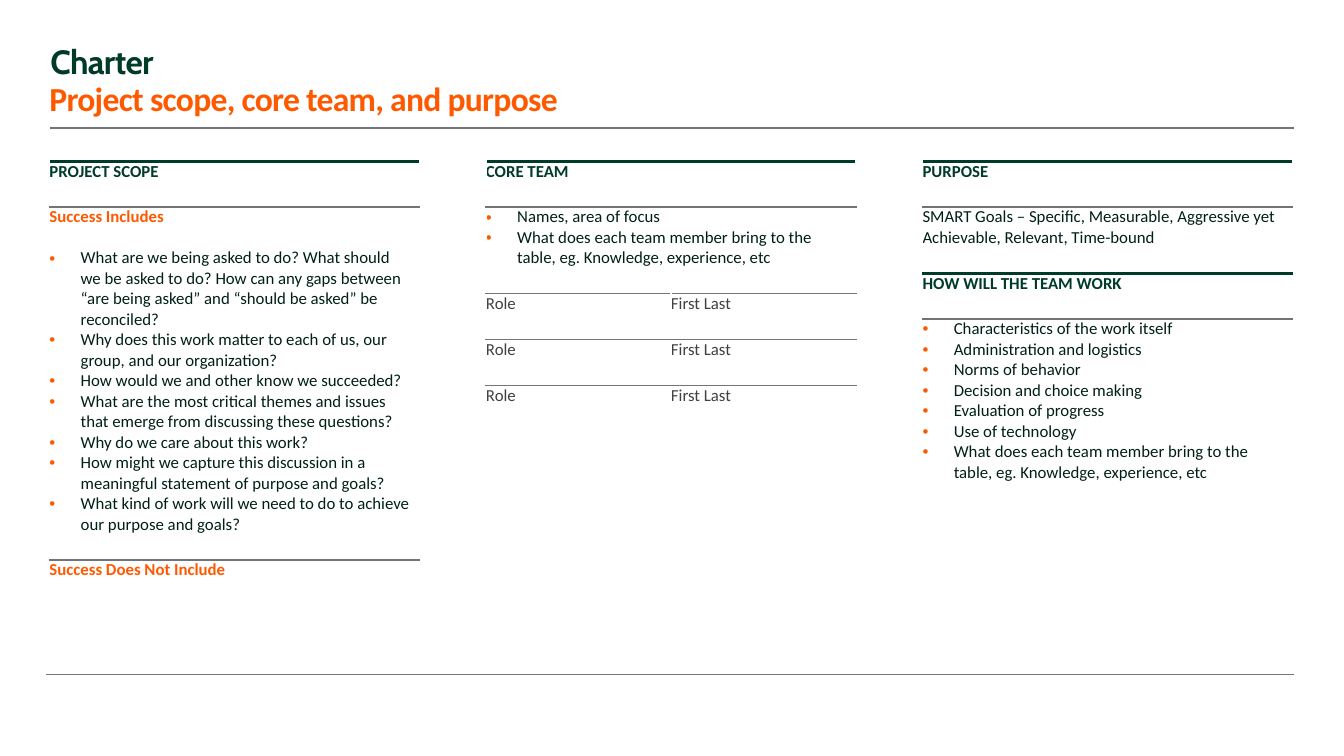
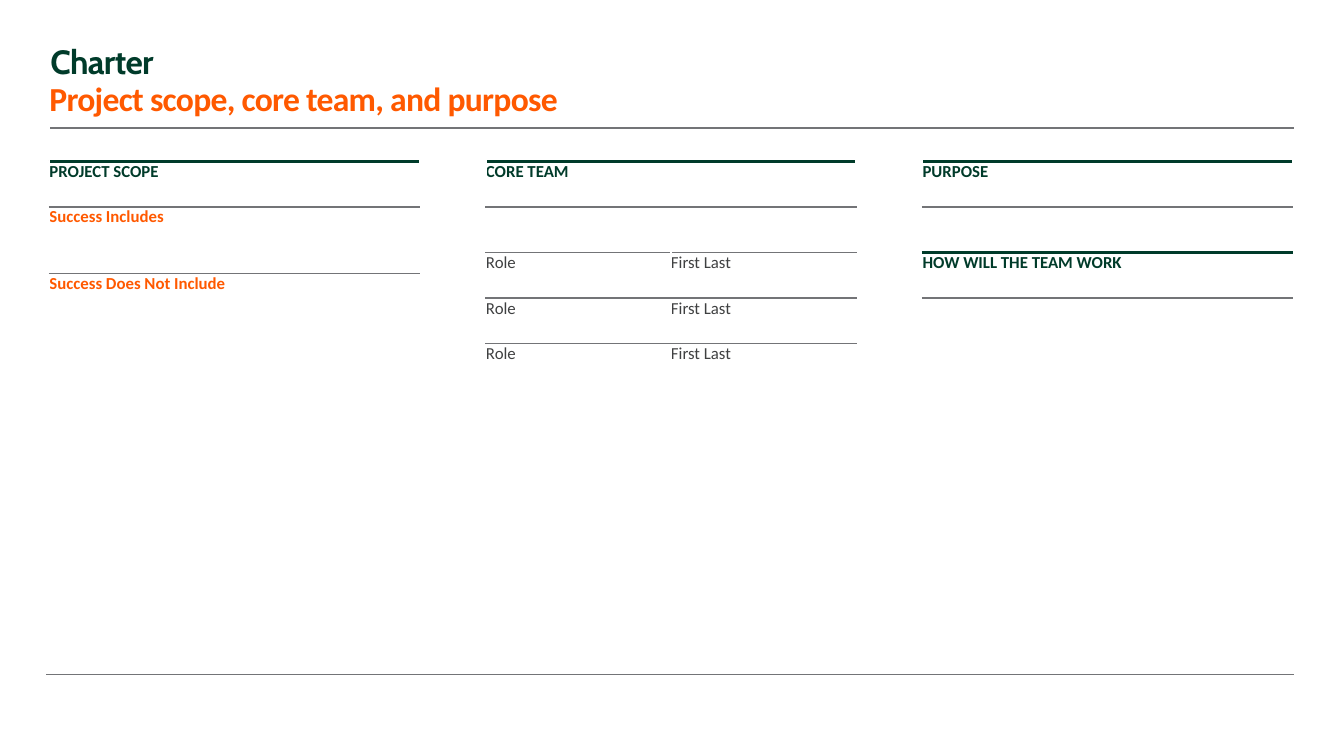
from dataclasses import dataclass

from lxml import etree
from pptx import Presentation
from pptx.dml.color import RGBColor
from pptx.enum import shapes, text
from pptx.oxml.ns import qn
from pptx.util import Inches, Pt

GREEN = RGBColor(0x00, 0x3B, 0x2A)
ORANGE = RGBColor(0xFF, 0x59, 0x00)
INK = RGBColor(0x00, 0x20, 0x17)
CHARCOAL = RGBColor(0x3F, 0x40, 0x41)
GREY = RGBColor(0x73, 0x74, 0x77)
WHITE = RGBColor(0xFF, 0xFF, 0xFF)

COLUMN_LEFT = 0.49
COLUMN_PITCH = 4.33
COLUMN_WIDTH = 3.67
TABLE_TOP = 1.6
ROW_HEIGHT = 0.45
BULLET_INDENT = 0.31
LINE_GAP = 14.65  # height of one 12 pt line, in points

SCOPE_QUESTIONS = [
    "What are we being asked to do? What should we be asked to do? How can any gaps "
    "between “are being asked” and “should be asked” be reconciled?",
    "Why does this work matter to each of us, our group, and our organization?",
    "How would we and other know we succeeded?",
    "What are the most critical themes and issues that emerge from discussing these questions?",
    "Why do we care about this work?",
    "How might we capture this discussion in a meaningful statement of purpose and goals?",
    "What kind of work will we need to do to achieve our purpose and goals?",
]
MEMBER_QUESTION = ("What does each team member bring to the table, "
                   "eg. Knowledge, experience, etc")
TEAM_NOTES = ["Names, area of focus", MEMBER_QUESTION]
GOALS = ("SMART Goals – Specific, Measurable, Aggressive yet Achievable, "
         "Relevant, Time-bound")
WORK_NOTES = [
    "Characteristics of the work itself",
    "Administration and logistics",
    "Norms of behavior",
    "Decision and choice making",
    "Evaluation of progress",
    "Use of technology",
    MEMBER_QUESTION,
]


@dataclass
class Row:
    """A table row: each cell is a list of paragraphs, rule is the line above."""
    cells: list
    rule: RGBColor = GREY
    height: float = ROW_HEIGHT


def write_text(para, content, size=12, font="Calibri", color=INK, bold=False,
               bullet=False, tracking=None, after=0):
    para.alignment = text.PP_ALIGN.LEFT
    para.space_before = Pt(0)
    para.space_after = Pt(after)
    props = para._p.get_or_add_pPr()
    indent = Inches(BULLET_INDENT) if bullet else 0
    props.set("marL", str(indent))
    props.set("indent", str(-indent))
    if bullet:
        bullet_color = etree.SubElement(props, qn("a:buClr"))
        etree.SubElement(bullet_color, qn("a:srgbClr"), val=str(ORANGE))
        etree.SubElement(props, qn("a:buFont"), typeface="Arial")
        etree.SubElement(props, qn("a:buChar"), char="•")
    else:
        etree.SubElement(props, qn("a:buNone"))
    span = para.add_run()
    span.text = content
    span.font.size = Pt(size)
    span.font.name = font
    span.font.bold = bold
    span.font.color.rgb = color
    if tracking is not None:
        span._r.get_or_add_rPr().set("spc", str(int(tracking * 100)))


def heading(content):
    return Row([[dict(content=content, color=GREEN, bold=True)]], GREEN)


def label(content, after=0):
    return dict(content=content, color=ORANGE, bold=True, after=after)


def bullets(items):
    return [dict(content=item, bullet=True) for item in items]


def set_border(cell, side, color, width):
    line = etree.SubElement(cell._tc.get_or_add_tcPr(), qn(f"a:ln{side}"),
                            w=str(Pt(width)))
    fill = etree.SubElement(line, qn("a:solidFill"))
    etree.SubElement(fill, qn("a:srgbClr"), val=str(color))


def fill_cell(cell, paragraphs):
    cell.margin_left = cell.margin_top = 0
    cell.margin_right = Inches(0.07)
    cell.margin_bottom = Inches(0.25 if paragraphs else 0)
    for index, paragraph in enumerate(paragraphs):
        frame = cell.text_frame
        para = frame.add_paragraph() if index else frame.paragraphs[0]
        write_text(para, **paragraph)


def add_column(page, position, rows):
    """Draw one column of the charter as a table; a lone cell spans its row."""
    count = max(len(row.cells) for row in rows)
    table = page.shapes.add_table(
        len(rows), count, Inches(COLUMN_LEFT + position * COLUMN_PITCH),
        Inches(TABLE_TOP), Inches(COLUMN_WIDTH),
        Inches(sum(row.height for row in rows))).table
    table.first_row = table.horz_banding = False
    rules = [row.rule for row in rows] + [WHITE]
    for index, row in enumerate(rows):
        table.rows[index].height = Inches(row.height)
        if len(row.cells) < count:
            table.cell(index, 0).merge(table.cell(index, count - 1))
        for cell, paragraphs in zip(table.rows[index].cells, row.cells):
            fill_cell(cell, paragraphs)
        for cell in table.rows[index].cells:
            for side, color in (("L", WHITE), ("R", WHITE),
                                ("T", rules[index]), ("B", rules[index + 1])):
                set_border(cell, side, color, 2.25 if color == GREEN else 1)
            cell.fill.background()


def add_rule(page, left, top, right, width):
    line = page.shapes.add_connector(shapes.MSO_CONNECTOR.STRAIGHT, Inches(left),
                                     Inches(top), Inches(right), Inches(top))
    line.line.color.rgb = GREY
    line.line.width = Pt(width)
    etree.SubElement(line.element.spPr, qn("a:effectLst"))
    return line


def prepare_layout(layout):
    """Place the title and subtitle and drop the unused footer fields."""
    boxes = {0: (0.5, 0.36, 12.32, 0.59), 1: (0.49, 0.72, 12.33, 0.51)}
    for box in list(layout.placeholders):
        place = boxes.get(box.placeholder_format.idx)
        if place is None:
            box.element.getparent().remove(box.element)
        else:
            box.left, box.top, box.width, box.height = map(Inches, place)


def share_rules(page):
    """Draw the header and footer rules, then hand them to the layout."""
    lines = [add_rule(page, 0.5, 1.27, 12.83, 1),
             add_rule(page, 0.46, 6.69, 12.83, 0.25)]
    for line in lines:
        page.slide_layout.shapes.element.append(line.element)


def write_heading(box, content, **style):
    frame = box.text_frame
    frame.word_wrap = True
    frame.auto_size = text.MSO_AUTO_SIZE.NONE
    frame.vertical_anchor = text.MSO_ANCHOR.TOP
    frame.margin_left = 0
    frame.margin_right = Inches(0.1)
    frame.margin_top = frame.margin_bottom = Inches(0.05)
    write_text(frame.paragraphs[0], content, size=24, bold=True, tracking=-0.5, **style)


def add_charter(deck, layout, scope, team, goals, work):
    page = deck.slides.add_slide(layout)
    write_heading(page.shapes.title, "Charter", font="Cabin", color=GREEN)
    write_heading(page.placeholders[1], "Project scope, core team, and purpose",
                  color=ORANGE)
    member = Row([[dict(content=name, color=CHARCOAL)] for name in ("Role", "First Last")])
    columns = [
        [heading("PROJECT SCOPE"),
         Row([[label("Success Includes", LINE_GAP if scope else 0)] + bullets(scope)],
             height=3.5 if scope else 0.66),
         Row([[label("Success Does Not Include")]]),
         Row([[]], WHITE)],
        [heading("CORE TEAM"), Row([bullets(team)])] + [member] * 3,
        [heading("PURPOSE"), Row([[dict(content=goal) for goal in goals]]),
         heading("HOW WILL THE TEAM WORK"), Row([bullets(work)])],
    ]
    for position, rows in enumerate(columns):
        add_column(page, position, rows)
    return page


def main():
    deck = Presentation()
    deck.slide_width = Inches(13.33)
    deck.slide_height = Inches(7.5)
    layout = deck.slide_layouts[1]
    prepare_layout(layout)
    guide = add_charter(deck, layout, SCOPE_QUESTIONS, TEAM_NOTES, [GOALS], WORK_NOTES)
    share_rules(guide)
    add_charter(deck, layout, [], [], [], [])
    deck.save("out.pptx")


if __name__ == "__main__":
    main()
